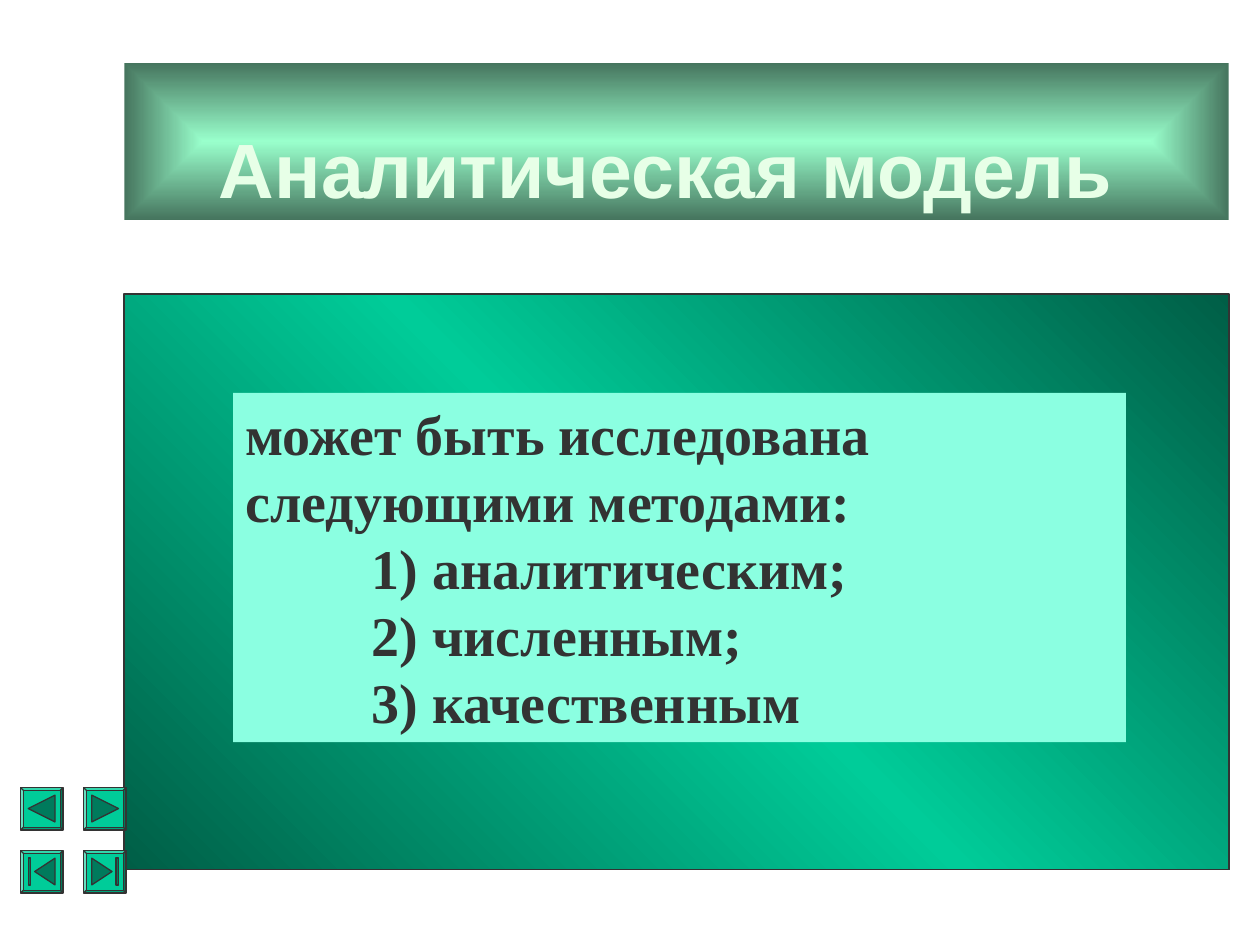
import pptx
import pptx.util
import pptx.dml.color
import pptx.enum.shapes
import pptx.enum.text
import pptx.oxml
from dataclasses import dataclass
from pptx.util import Cm, Pt


@dataclass(frozen=True)
class Theme:
    title_light: str = "99FFCC"
    title_dark: str = "46755E"
    title_text: str = "E7FFE7"
    panel_dark: str = "005E46"
    green: str = "00CC99"
    glyph: str = "007A5C"
    note: str = "8BFFE1"
    ink: str = "333333"
    title_pt: int = 44
    body_pt: int = 32


THEME = Theme()
RGB = pptx.dml.color.RGBColor.from_string
SHAPE = pptx.enum.shapes.MSO_SHAPE
ANCHOR = pptx.enum.text.MSO_ANCHOR
ALIGN = pptx.enum.text.PP_ALIGN
NS = 'xmlns:a="http://schemas.openxmlformats.org/drawingml/2006/main"'


def paint(sp, fill, line=None, width=1):
    """Fill with one colour, or with (stops, direction XML) for a gradient."""
    sp.shadow.inherit = False
    if isinstance(fill, str):
        sp.fill.solid()
        sp.fill.fore_color.rgb = RGB(fill)
    else:
        stops, direction = fill
        gs = "".join(f'<a:gs pos="{pos * 1000}"><a:srgbClr val="{color}"/></a:gs>'
                     for pos, color in stops)
        grad = pptx.oxml.parse_xml(
            f'<a:gradFill {NS} rotWithShape="1"><a:gsLst>{gs}</a:gsLst>{direction}</a:gradFill>')
        sp.fill.background()
        no_fill = sp._element.spPr.find(pptx.oxml.ns.qn("a:noFill"))
        sp._element.spPr.replace(no_fill, grad)
    if line:
        sp.line.color.rgb = RGB(line)
        sp.line.width = Pt(width)
    else:
        sp.line.fill.background()


def write(sp, lines, font, size, color, align, anchor):
    tf = sp.text_frame
    tf.word_wrap = True
    tf.vertical_anchor = anchor
    tf.text = "\n".join(lines)
    for p in tf.paragraphs:
        p.alignment = align
        p._p.get_or_add_pPr().append(pptx.oxml.parse_xml(
            f'<a:tabLst {NS}><a:tab pos="{Cm(2.54)}" algn="l"/></a:tabLst>'))
        for r in p.runs:
            r.font.name = font
            r.font.size = Pt(size)
            r.font.bold = True
            r.font.color.rgb = RGB(color)


prs = pptx.Presentation()
prs.slide_width, prs.slide_height = Cm(25.4), Cm(19.05)
s = prs.slides.add_slide(prs.slide_layouts[6])

# Title band
title = s.shapes.add_shape(SHAPE.RECTANGLE, Cm(2.51), Cm(1.27), Cm(22.26), Cm(3.16))
center = '<a:path path="rect"><a:fillToRect l="50000" t="50000" r="50000" b="50000"/></a:path>'
paint(title, ([(0, THEME.title_light), (100, THEME.title_dark)], center))
write(title, ["Аналитическая модель "], "Arial", THEME.title_pt, THEME.title_text,
      ALIGN.CENTER, ANCHOR.BOTTOM)

# Background panel
panel = s.shapes.add_shape(SHAPE.RECTANGLE, Cm(2.5), Cm(5.93), Cm(22.28), Cm(11.6))
diagonal = f'<a:lin ang="{135 * 60000}" scaled="0"/>'
paint(panel, ([(0, THEME.panel_dark), (50, THEME.green), (100, THEME.panel_dark)], diagonal),
      THEME.ink)

# Navigation buttons: glyph outlines in cm from the button's corner
SIZE, PITCH, LEFT, TOP = 0.85, 1.27, 0.42, 15.88
NEAR, FAR, MID, BAR, GAP = 0.15, 0.69, 0.42, 0.05, 0.13
back = [[(NEAR, MID), (FAR, NEAR), (FAR, FAR)]]
first = [[(NEAR + GAP, MID), (FAR, NEAR), (FAR, FAR)],
         [(NEAR, NEAR), (NEAR + BAR, NEAR), (NEAR + BAR, FAR), (NEAR, FAR)]]
forward, last = ([[(SIZE - x, y) for x, y in outline] for outline in glyph]
                 for glyph in (back, first))

for i, glyph in enumerate([back, forward, first, last]):
    row, col = divmod(i, 2)
    x, y = LEFT + col * PITCH, TOP + row * PITCH
    button = s.shapes.add_shape(SHAPE.BEVEL, Cm(x), Cm(y), Cm(SIZE), Cm(SIZE))
    button.adjustments[0] = 0.06
    paint(button, THEME.green, THEME.ink, 0.75)
    for outline in glyph:
        points = [(Cm(x + dx), Cm(y + dy)) for dx, dy in outline]
        fb = s.shapes.build_freeform(*points[0])
        fb.add_line_segments(points[1:], close=True)
        paint(fb.convert_to_shape(), THEME.glyph, THEME.ink, 0.75)

# Methods
note = s.shapes.add_shape(SHAPE.RECTANGLE, Cm(4.7), Cm(7.92), Cm(18), Cm(7.04))
paint(note, THEME.note)
methods = ["аналитическим;", "численным;", "качественным"]
write(note, ["может быть исследована следующими методами:"]
      + [f"\t{n}) {method}" for n, method in enumerate(methods, 1)],
      "Times New Roman", THEME.body_pt, THEME.ink, ALIGN.LEFT, ANCHOR.TOP)

prs.save("out.pptx")
